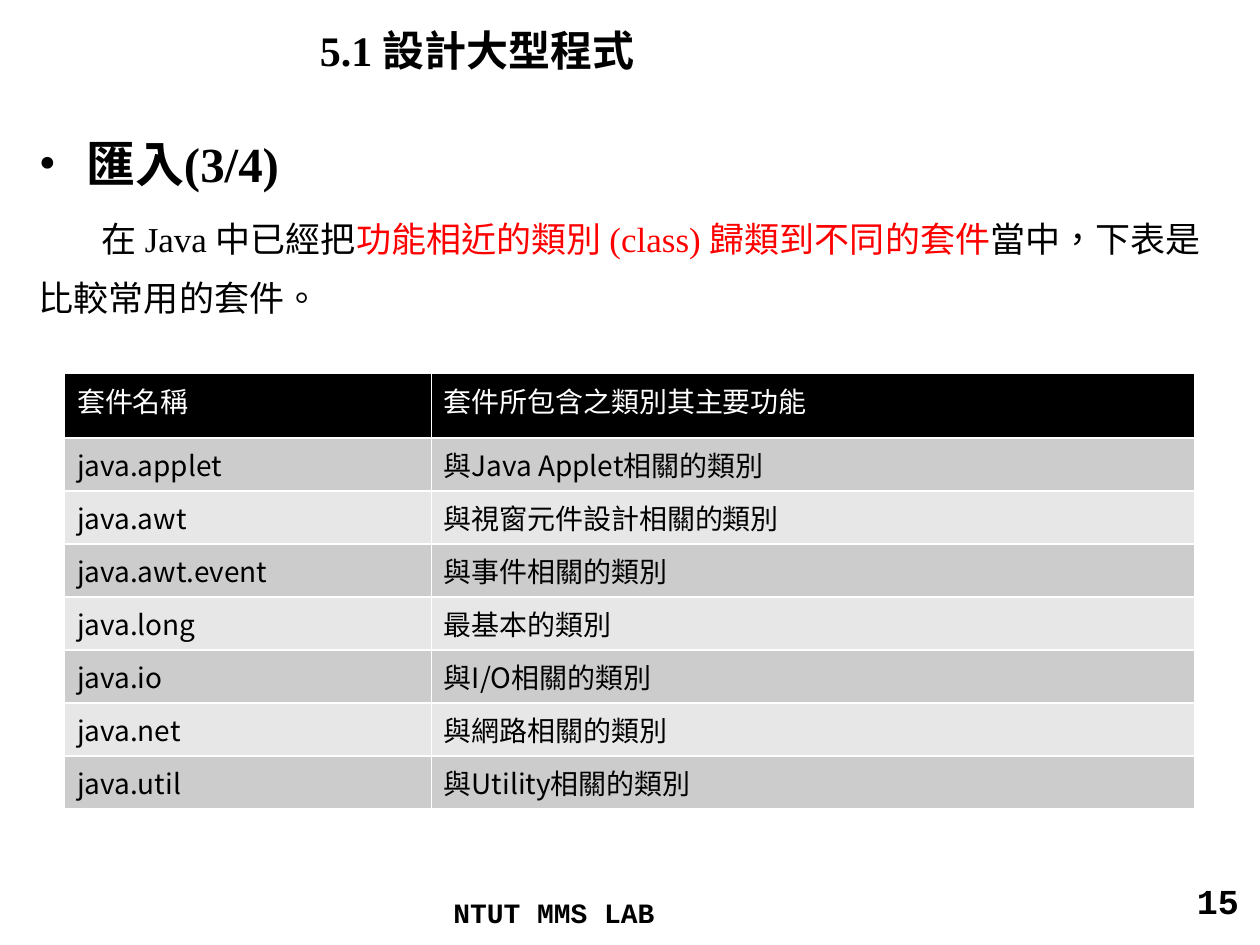
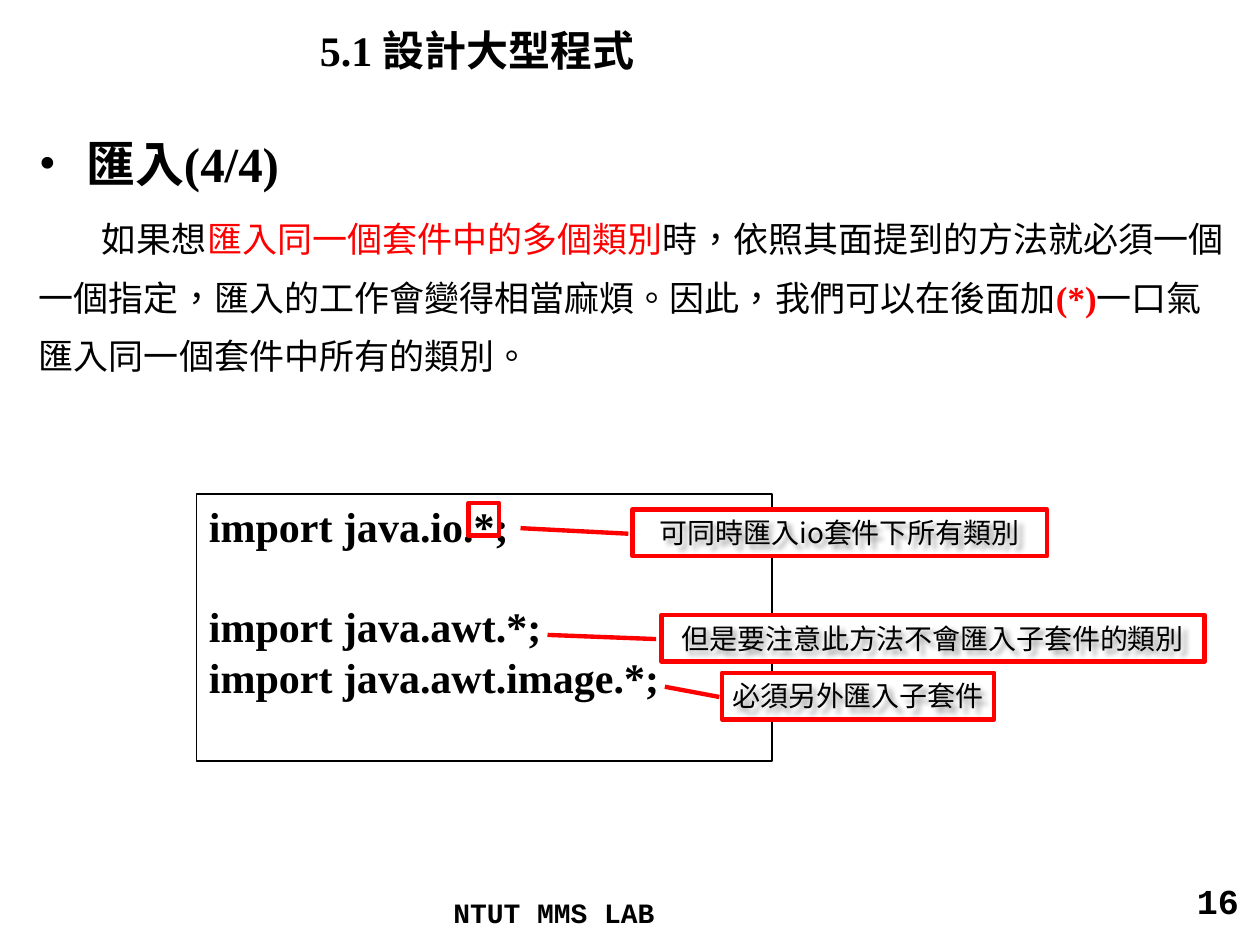
"""Build two slides on importing Java packages."""
from lxml.etree import SubElement
from pptx import Presentation
from pptx.dml.color import RGBColor
from pptx.enum.shapes import MSO_SHAPE
from pptx.enum.text import MSO_ANCHOR, PP_ALIGN
from pptx.oxml import parse_xml
from pptx.oxml.ns import nsdecls, qn
from pptx.util import Pt

BLACK = RGBColor(0x00, 0x00, 0x00)
WHITE = RGBColor(0xFF, 0xFF, 0xFF)
RED = RGBColor(0xFF, 0x00, 0x00)
DARK_BAND = RGBColor(0xCC, 0xCC, 0xCC)
LIGHT_BAND = RGBColor(0xE7, 0xE7, 0xE7)
SERIF = "Times New Roman"
MONO = "Courier New"
SANS = "Noto Sans CJK SC"
TEXT_SHADOW = (
    f'<a:effectLst {nsdecls("a")}><a:outerShdw blurRad="38100" dist="38100" dir="2700000">'
    '<a:srgbClr val="000000"><a:alpha val="40000"/></a:srgbClr></a:outerShdw></a:effectLst>'
)

PAGES = [
    (15, "匯入(3/4)", [
        ("在 Java 中已經把", BLACK, False),
        ("功能相近的類別 (class) 歸類到不同的套件", RED, False),
        ("當中，下表是比較常用的套件。", BLACK, False),
    ]),
    (16, "匯入(4/4)", [
        ("如果想", BLACK, False),
        ("匯入同一個套件中的多個類別", RED, False),
        ("時，依照其面提到的方法就必須一個一個指定，匯入的工作會變得相當麻煩。"
         "因此，我們可以在後面加", BLACK, False),
        ("(*)", RED, True),
        ("一口氣匯入同一個套件中所有的類別。", BLACK, False),
    ]),
]
PACKAGES = [
    ("套件名稱", "套件所包含之類別其主要功能"),
    ("java.applet", "與Java Applet相關的類別"),
    ("java.awt", "與視窗元件設計相關的類別"),
    ("java.awt.event", "與事件相關的類別"),
    ("java.long", "最基本的類別"),
    ("java.io", "與I/O相關的類別"),
    ("java.net", "與網路相關的類別"),
    ("java.util", "與Utility相關的類別"),
]
IMPORTS = [("import java.io.*;", 0), ("import java.awt.*;", 28.8), ("import java.awt.image.*;", 0)]
CALLOUTS = [
    ("可同時匯入io套件下所有類別", 361.4, 291.2, 236.9, 232.6, (0.4, -0.27)),
    ("但是要注意此方法不會匯入子套件的類別", 378, 351.4, 310.3, 306, (0.43, -0.21)),
    ("必須另外匯入子套件", 412.6, 384.5, 155.5, 172.8, (0.3, -0.21)),
]


def add_run(paragraph, text, size, font=SERIF, color=BLACK, bold=True):
    run = paragraph.add_run()
    run.text = text
    run.font.size = Pt(size)
    run.font.bold = bold
    run.font.name = font
    run.font.color.rgb = color
    properties = run.font._element
    properties.set("lang", "zh-TW")
    SubElement(properties, qn("a:ea")).set("typeface", SANS)


def add_box(slide, left, top, width, height):
    box = slide.shapes.add_textbox(Pt(left), Pt(top), Pt(width), Pt(height))
    box.text_frame.word_wrap = True
    return box


prs = Presentation()
prs.slide_width, prs.slide_height = Pt(720), Pt(540)

slides = []
for number, heading, explanation in PAGES:
    slide = prs.slides.add_slide(prs.slide_layouts[6])
    slides.append(slide)

    body = add_box(slide, 15.1, 72.7, 697.7, 419).text_frame
    topic, detail = body.paragraphs[0], body.add_paragraph()
    add_run(topic, heading, 28)
    for text, color, bold in explanation:
        add_run(detail, text, 20, color=color, bold=bold)
    for paragraph, gap in ((topic, 5.6), (detail, 4.8)):
        paragraph.line_spacing = Pt(33.6)
        paragraph.space_before = Pt(gap)
    topic_format = topic._p.get_or_add_pPr()
    topic_format.set("marL", str(Pt(27)))
    topic_format.set("indent", str(Pt(-27)))
    SubElement(topic_format, qn("a:buFont")).set("typeface", "Times New Roman")
    SubElement(topic_format, qn("a:buChar")).set("char", "•")
    detail._p.get_or_add_pPr().set("indent", str(Pt(36)))

    title = add_box(slide, 175.7, 0, 544.3, 56.9).text_frame
    title.vertical_anchor = MSO_ANCHOR.MIDDLE
    add_run(title.paragraphs[0], "5.1 設計大型程式", 24)

    footer = add_box(slide, 252, 508.3, 233.3, 23).text_frame
    add_run(footer.paragraphs[0], "NTUT MMS LAB", 16, MONO)

    page_number = add_box(slide, 547.2, 499, 167.8, 37.4).text_frame
    page_number.paragraphs[0].alignment = PP_ALIGN.RIGHT
    add_run(page_number.paragraphs[0], str(number), 20, MONO)

table_slide, code_slide = slides

package_table = table_slide.shapes.add_table(
    len(PACKAGES), 2, Pt(36.9), Pt(213.4), Pt(646), Pt(249.1)).table
package_table.columns[0].width = Pt(209.6)
package_table.columns[1].width = Pt(436.4)
for row, entries in enumerate(PACKAGES):
    package_table.rows[row].height = Pt(30.3 if row else 37)
    band = (DARK_BAND if row % 2 else LIGHT_BAND) if row else BLACK
    for column, text in enumerate(entries):
        cell = package_table.cell(row, column)
        cell.fill.solid()
        cell.fill.fore_color.rgb = band
        add_run(cell.text_frame.paragraphs[0], text, 16, SANS,
                BLACK if row else WHITE, bold=False)

code = code_slide.shapes.add_shape(
    MSO_SHAPE.RECTANGLE, Pt(112.3), Pt(282.2), Pt(329), Pt(152.6))
code.shadow.inherit = False
code.fill.solid()
code.fill.fore_color.rgb = WHITE
code.line.color.rgb = BLACK
code.line.width = Pt(1)
code.text_frame.vertical_anchor = MSO_ANCHOR.TOP
for index, (statement, gap) in enumerate(IMPORTS):
    line = code.text_frame.add_paragraph() if index else code.text_frame.paragraphs[0]
    line.alignment = PP_ALIGN.LEFT
    line.line_spacing = Pt(28.8)
    line.space_before = Pt(gap)
    add_run(line, statement, 24)

star_frame = code_slide.shapes.add_shape(
    MSO_SHAPE.RECTANGLE, Pt(267.8), Pt(287.3), Pt(17.3), Pt(18.7))
star_frame.shadow.inherit = False
star_frame.fill.background()
star_frame.line.color.rgb = RED
star_frame.line.width = Pt(2.5)

for text, left, top, width, text_width, pointer in CALLOUTS:
    callout = code_slide.shapes.add_shape(
        MSO_SHAPE.LINE_CALLOUT_1, Pt(left), Pt(top), Pt(width), Pt(26.6))
    callout.shadow.inherit = False
    callout.fill.solid()
    callout.fill.fore_color.rgb = WHITE
    callout.line.color.rgb = RED
    callout.line.width = Pt(2.5)
    for index, value in enumerate((*pointer, 0.52, -0.01)):
        callout.adjustments[index] = value

    note = add_box(code_slide, left + (width - text_width) / 2, top, text_width, 26.6)
    note._element.spPr.append(parse_xml(TEXT_SHADOW))
    note.text_frame.paragraphs[0].alignment = PP_ALIGN.CENTER
    add_run(note.text_frame.paragraphs[0], text, 16, SANS, bold=False)

prs.save("out.pptx")
